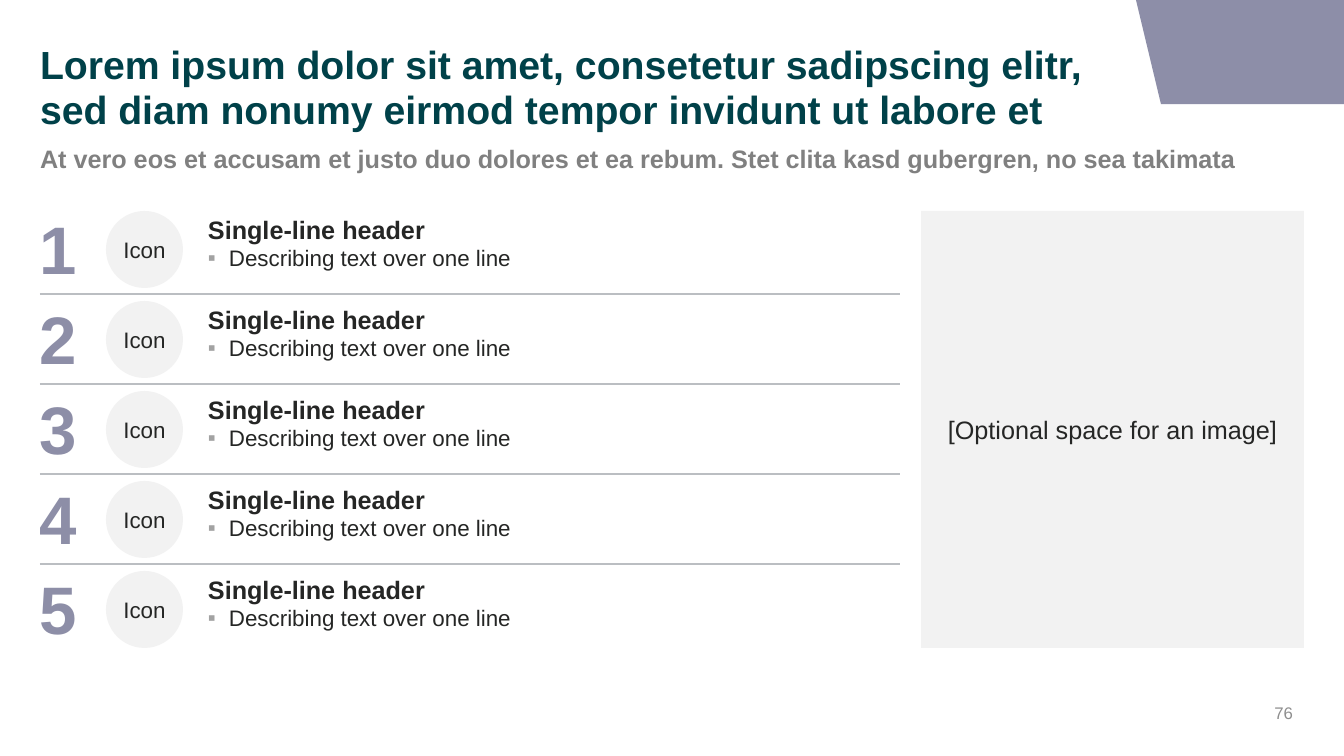
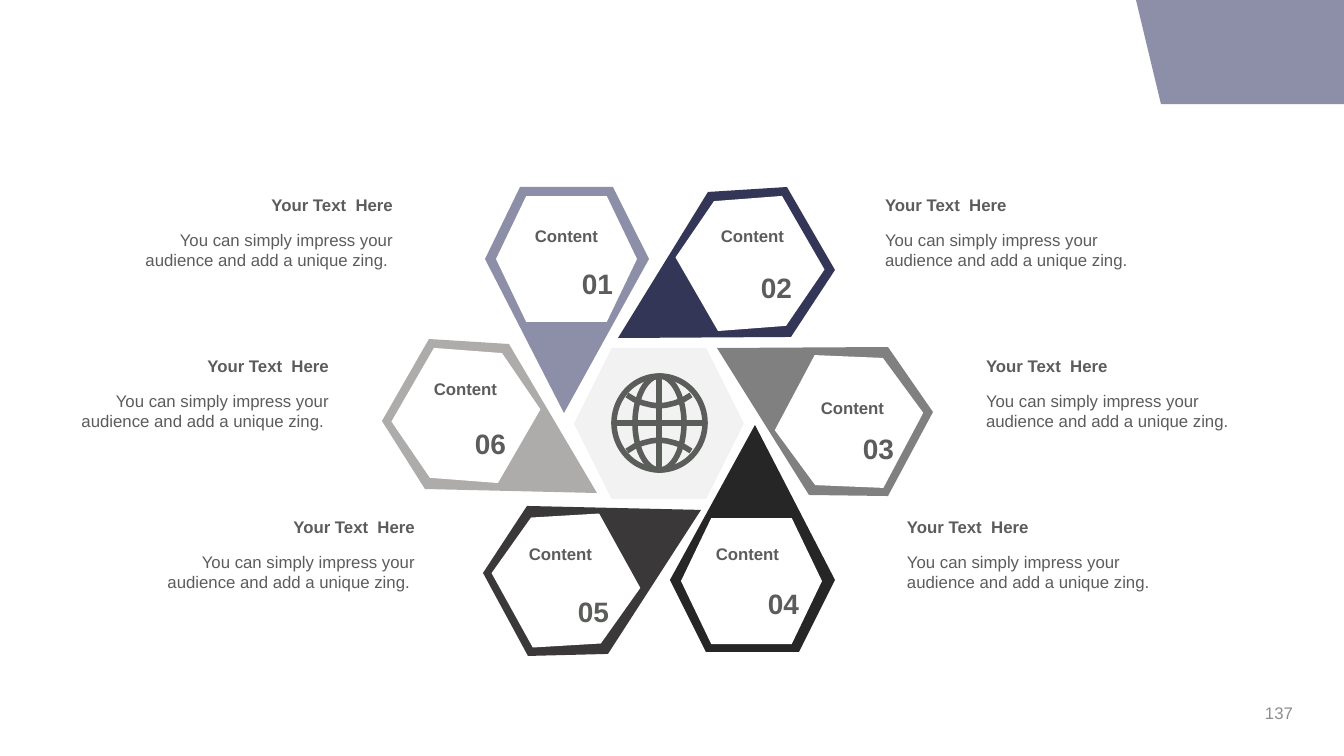
from lxml import etree
from pptx import Presentation
from pptx.dml.color import RGBColor
from pptx.enum.shapes import MSO_CONNECTOR, MSO_SHAPE
from pptx.enum.text import MSO_ANCHOR, PP_ALIGN
from pptx.oxml.ns import qn
from pptx.util import Pt

PX = 914400 / 100.8
FONT = "Arial"
LEFT, MID, RIGHT = PP_ALIGN.LEFT, PP_ALIGN.CENTER, PP_ALIGN.RIGHT
TOP, CENTER = MSO_ANCHOR.TOP, MSO_ANCHOR.MIDDLE
RECT, OVAL, HEX = MSO_SHAPE.RECTANGLE, MSO_SHAPE.OVAL, MSO_SHAPE.HEXAGON
LINE = MSO_CONNECTOR.STRAIGHT
COLORS = {
    "corner": "8D8EA8", "lilac": "8D8EA7", "navy": "333657", "teal": "004149",
    "gray": "808080", "ink": "252625", "coal": "3A3838", "ash": "AEABAB",
    "text": "5B5D5B", "page": "8E8E8E", "rule": "BBBEC2", "mark": "A2A2A2",
    "pale": "F2F2F2", "white": "FFFFFF",
}
RGB = {name: RGBColor.from_string(code) for name, code in COLORS.items()}


def put(host, words, box=None, size=12, color="text", bold=False, align=LEFT,
        anchor=TOP, inset=(10, 5), lead=None, before=0, bullet=False):
    """Write a paragraph into a new text box on a slide, or into a shape."""
    shape = host
    if box:
        shape = host.shapes.add_textbox(*[round(v * PX) for v in box])
    frame = shape.text_frame
    frame.word_wrap = True
    frame.vertical_anchor = anchor
    frame.margin_left = frame.margin_right = round(inset[0] * PX)
    frame.margin_top = frame.margin_bottom = round(inset[1] * PX)
    para = frame.add_paragraph() if frame.text else frame.paragraphs[0]
    para.alignment = align
    para.space_before = Pt(before)
    if lead:
        para.line_spacing = lead
    if bullet:
        props = para._p.get_or_add_pPr()
        props.set("marL", str(round(21 * PX)))
        props.set("indent", str(round(-21 * PX)))
        tint = etree.SubElement(props, qn("a:buClr"))
        etree.SubElement(tint, qn("a:srgbClr"), val=COLORS["mark"])
        etree.SubElement(props, qn("a:buFont"), typeface=FONT)
        etree.SubElement(props, qn("a:buChar"), char="▪")
    run = para.add_run()
    run.text = words
    run.font.name, run.font.size, run.font.bold = FONT, Pt(size), bold
    run.font.color.rgb = RGB[color]
    return shape


def draw(page, fill=None, kind=None, box=None, points=None, line=None):
    """Draw a preset shape in a box, or an outline through points."""
    if points:
        pen = page.shapes.build_freeform(*points[0], scale=PX)
        pen.add_line_segments(points[1:], close=fill is not None)
        shape = pen.convert_to_shape()
    else:
        shape = page.shapes.add_shape(kind, *[round(v * PX) for v in box])
    shape.shadow.inherit = False
    if fill:
        shape.fill.solid()
        shape.fill.fore_color.rgb = RGB[fill]
    else:
        shape.fill.background()
    if line:
        shape.line.color.rgb = RGB[line]
        shape.line.width = Pt(4)
    else:
        shape.line.fill.background()
    return shape


deck = Presentation()
deck.slide_width, deck.slide_height = round(1344 * PX), round(756 * PX)

# Shared corner and page number
pages = []
for number in ("76", "137"):
    page = deck.slides.add_slide(deck.slide_layouts[6])
    draw(page, "corner", points=[(1344, 0), (1344, 104), (1161, 104), (1136, 0)])
    put(page, number, (1001, 701, 302, 24), color="page", align=RIGHT, anchor=CENTER)
    pages.append(page)
steps, wheel = pages

# Title and subtitle
put(steps, "Lorem ipsum dolor sit amet, consetetur sadipscing elitr, "
    "sed diam nonumy eirmod tempor invidunt ut labore et",
    (40, 44, 1096, 88), size=28, color="teal", bold=True, inset=(0, 0), lead=0.95)
put(steps, "At vero eos et accusam et justo duo dolores et ea rebum. "
    "Stet clita kasd gubergren, no sea takimata",
    (40, 143, 1264, 34), size=18, color="gray", bold=True, inset=(0, 0))

# Numbered rows with dividers between them
for row in range(5):
    y = 211 + 90 * row
    put(steps, str(row + 1), (40, y + 2, 40, 74), size=48, color="lilac",
        bold=True, inset=(0, 0), lead=0.95)
    icon = draw(steps, "pale", OVAL, (106, y, 77, 77))
    put(icon, "Icon", size=16, color="ink", align=MID, anchor=CENTER, inset=(0, 0))
    item = put(steps, "Single-line header", (208, y + 3, 692, 57), size=18,
               color="ink", bold=True, inset=(0, 0))
    put(item, "Describing text over one line", size=16, color="ink",
        inset=(0, 0), lead=0.9, before=1.8, bullet=True)
    if row:
        ends = [round(v * PX) for v in (40, y - 7, 900, y - 7)]
        rule = steps.shapes.add_connector(LINE, *ends)
        rule.line.color.rgb = RGB["rule"]
        rule.line.width = Pt(1.75)
        etree.SubElement(rule._element.spPr, qn("a:effectLst"))

# Image space
space = draw(steps, "pale", RECT, (921, 211, 383, 437))
put(space, "[Optional space for an image]", size=18, color="ink", align=MID,
    anchor=CENTER)

# Wheel: color, outline, inner hexagon and its turn, label and number corners
arms = [
    ("lilac", [(520, 187), (613, 187), (649, 259), (564, 413), (485, 259)],
     (496, 196, 141, 126), 0, (491, 221), (550, 261)),
    ("navy", [(787, 187), (835, 270), (791, 337), (618, 338), (708, 192)],
     (678, 202, 144, 123), 60, (677, 221), (729, 265)),
    ("gray", [(933, 412), (888, 496), (809, 495), (717, 348), (888, 347)],
     (777, 360, 144, 123), 118, (777, 393), (831, 426)),
    ("ink", [(799, 652), (706, 652), (670, 580), (755, 425), (835, 580)],
     (681, 518, 141, 126), 180, (672, 539), (736, 582)),
    ("coal", [(528, 656), (483, 573), (527, 506), (701, 510), (608, 654)],
     (494, 519, 144, 123), 241, (485, 539), (546, 589)),
    ("ash", [(382, 421), (429, 339), (509, 344), (597, 493), (425, 489)],
     (394, 354, 144, 123), 300, (390, 374), (443, 421)),
]
core = draw(wheel, "pale", HEX, (574, 348, 170, 151))
core.adjustments[0] = 0.25
for count, (color, points, box, turn, label, digit) in enumerate(arms, 1):
    draw(wheel, color, points=points)
    cell = draw(wheel, "white", HEX, box)
    cell.adjustments[0] = 0.24
    cell.rotation = turn
    put(wheel, "Content", (*label, 151, 43), bold=True, align=MID)
    put(wheel, f"{count:02}", (*digit, 73, 64), size=20, bold=True, align=RIGHT)

# Globe
for box in ((614, 376, 91, 94), (635, 376, 49, 94)):
    draw(wheel, kind=OVAL, box=box, line="text")
curves = [[(659, 376), (659, 470)], [(614, 423), (705, 423)]]
for side in (-1, 1):
    curves.append([(659 + 8 * t, 423 + side * (17 + 11 * t * t / 16))
                   for t in range(-4, 5)])
for curve in curves:
    draw(wheel, points=curve, line="text")

# Captions on both sides
for align, edges, tail in ((RIGHT, (105, 41, 127), " "), (LEFT, (875, 976, 897), "")):
    for row, x in enumerate(edges):
        y = 190 + 161 * row
        put(wheel, "Your Text  Here", (x, y, 298, 43), bold=True, align=align)
        put(wheel, "You can simply impress your audience and add a unique zing." + tail,
            (x, y + 35, 298, 102), align=align)

deck.save("out.pptx")
